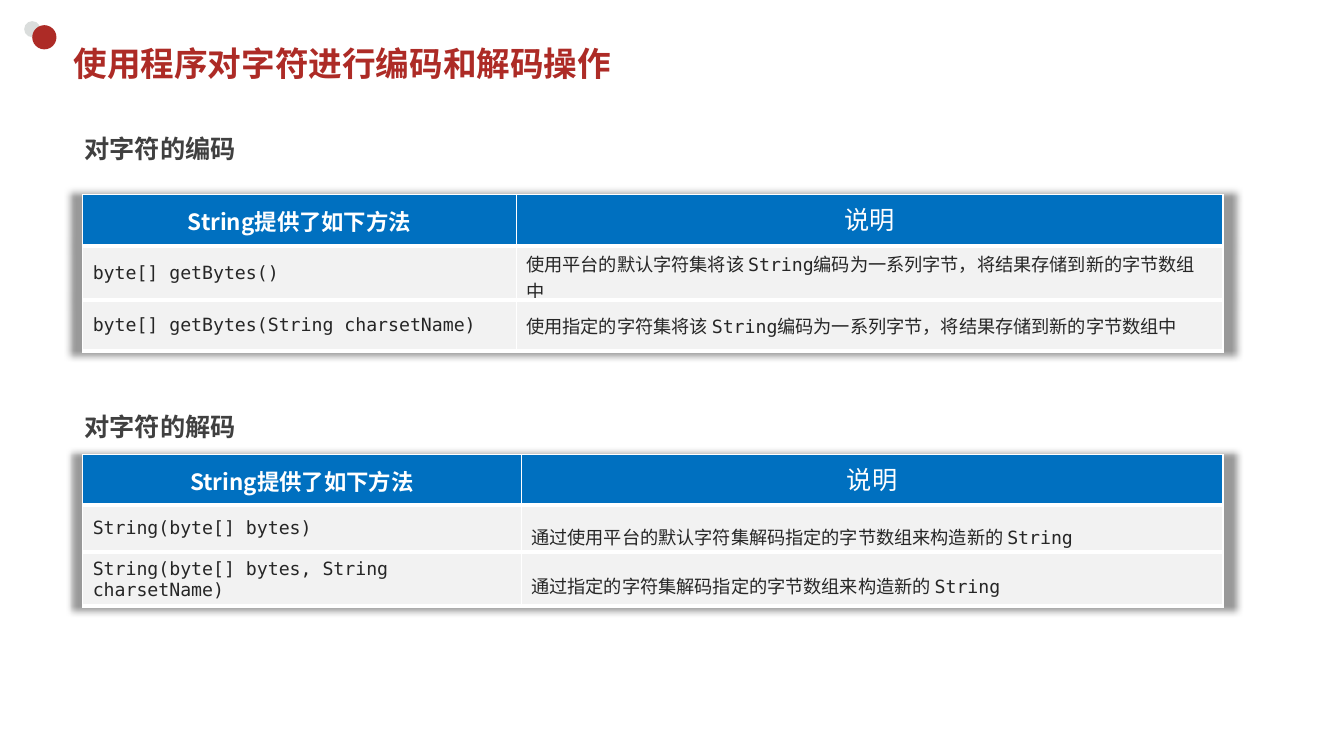
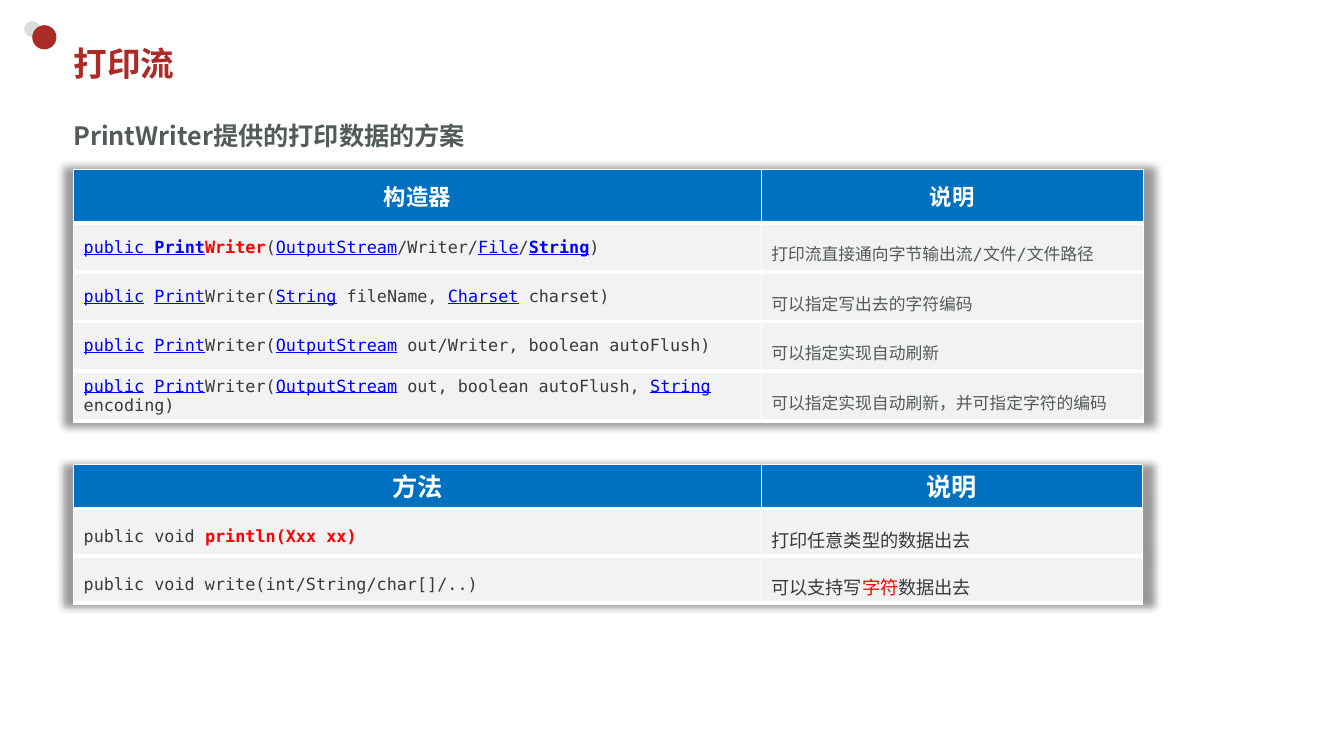
from lxml import etree
from pptx import Presentation
from pptx.dml.color import RGBColor as RGB
from pptx.enum.shapes import MSO_SHAPE as Shape
from pptx.enum.text import MSO_ANCHOR as Anchor, MSO_AUTO_SIZE as Fit, PP_ALIGN as Align
from pptx.oxml import parse_xml
from pptx.oxml.ns import nsdecls, qn
from pptx.util import Inches, Pt

RED = RGB(0xAD, 0x2B, 0x26)
PALE = RGB(0xDA, 0xDD, 0xDC)
NAVY = RGB(0x00, 0x70, 0xC0)
LIGHT = RGB(0xF2, 0xF2, 0xF2)
WHITE = RGB(0xFF, 0xFF, 0xFF)
INK = RGB(0x26, 0x26, 0x26)
DARK = RGB(0x40, 0x40, 0x40)
SLATE = RGB(0x36, 0x3C, 0x3B)
GREY = RGB(0x52, 0x5B, 0x5A)
BLUE = RGB(0x00, 0x00, 0xFF)
HOT = RGB(0xFF, 0x00, 0x00)
MONO, SANS, ARIAL = "DejaVu Sans Mono", "Noto Sans CJK JP", "Arial"


def write(frame, text, align=Align.LEFT, space=None, **base):
    """Fill a frame with a string, or with strings and (string, format) runs."""
    frame.word_wrap = True
    para = frame.paragraphs[0]
    para.alignment = align
    if space:
        para.line_spacing = space
    for part in [text] if isinstance(text, str) else text:
        words, extra = (part, {}) if isinstance(part, str) else part
        look = {"bold": False, "line": False, **base, **extra}
        run = para.add_run()
        run.text = words
        font = run.font
        font.size, font.name = Pt(look["size"]), look["face"]
        font.bold, font.underline = look["bold"], look["line"]
        font.color.rgb = look["color"]
        east = etree.SubElement(font._element, qn("a:ea"))
        east.set("typeface", SANS)


def grid(slide, left, top, widths, heights, heads, looks, rows):
    """Add a shadowed table: one header row, then rows with a format per column."""
    frame = slide.shapes.add_table(
        len(heights), len(widths), Inches(left), Inches(top),
        Inches(sum(widths)), Inches(sum(heights)))
    table = frame.table
    table.first_row = table.horz_banding = False
    table._tbl.tblPr.insert(0, parse_xml(
        f'<a:effectLst {nsdecls("a")}><a:outerShdw blurRad="63500" sx="102000" '
        'sy="102000" algn="ctr" rotWithShape="0"><a:prstClr val="black">'
        '<a:alpha val="40000"/></a:prstClr></a:outerShdw></a:effectLst>'))
    for col, width in zip(table.columns, widths):
        col.width = Inches(width)
    for row, height in zip(table.rows, heights):
        row.height = Inches(height)
    for r, texts in enumerate([[text for text, _ in heads]] + rows):
        for c, text in enumerate(texts):
            cell = table.cell(r, c)
            cell.vertical_anchor = Anchor.MIDDLE
            cell.fill.solid()
            cell.fill.fore_color.rgb = LIGHT if r else NAVY
            write(cell.text_frame, text, **(looks[c] if r else heads[c][1]))
            edges = {"L": 1, "R": 1, "T": 3 if r else 1, "B": 3}
            for spot, (side, points) in enumerate(edges.items()):
                cell._tc.tcPr.insert(spot, parse_xml(
                    f'<a:ln{side} {nsdecls("a")} w="{Pt(points)}"><a:solidFill>'
                    f'<a:srgbClr val="{WHITE}"/></a:solidFill></a:ln{side}>'))


# Formats
TITLE = dict(size=24, face=MONO, color=RED, bold=True)
HEAD = dict(size=16, face=SANS, color=WHITE, bold=True, align=Align.CENTER)
TALL = HEAD | dict(space=Pt(24))
BIG = TALL | dict(size=18)
PLAIN = BIG | dict(bold=False)
ARIAL_HEAD = HEAD | dict(face=ARIAL)
ARIAL_BIG = BIG | dict(face=ARIAL)
SUB = dict(size=18, face=SANS, color=DARK, bold=True, space=1.5)
CODE = dict(size=13, face=MONO, color=INK)
WIDE = CODE | dict(space=1.5)
SMALL = dict(size=12, face=MONO, color=SLATE)
NOTE = SMALL | dict(color=GREY, space=1.5)
CALL = SMALL | dict(space=1.5)
HINT = dict(size=13, face=SANS, color=SLATE, space=1.5)
LINK = dict(color=BLUE, line=True)
BOLD = LINK | dict(bold=True)
ALERT = dict(color=HOT, bold=True)

# Table contents
encode = [
    ["byte[] getBytes()",
     "使用平台的默认字符集将该 String编码为一系列字节，将结果存储到新的字节数组中"],
    ["byte[] getBytes(String charsetName)",
     "使用指定的字符集将该 String编码为一系列字节，将结果存储到新的字节数组中"],
]
decode = [
    ["String(byte[] bytes)", "通过使用平台的默认字符集解码指定的字节数组来构造新的 String"],
    ["String(byte[] bytes, String charsetName)",
     "通过指定的字符集解码指定的字节数组来构造新的 String"],
]
start = [("public", LINK), " ", ("Print", LINK), "Writer("]
stream = ("OutputStream", LINK)
string = ("String", LINK)
makers = [
    [[("public ", LINK), ("Print", BOLD), ("Writer", ALERT), "(", stream, "/Writer/",
      ("File", LINK), "/", ("String", BOLD), ")"],
     "打印流直接通向字节输出流/文件/文件路径"],
    [start + [string, " fileName, ", ("Charset", LINK), " charset)"],
     "可以指定写出去的字符编码"],
    [start + [stream, " out/Writer, boolean autoFlush)"], "可以指定实现自动刷新"],
    [start + [stream, " out, boolean autoFlush, ", string, " encoding)"],
     "可以指定实现自动刷新，并可指定字符的编码"],
]
calls = [
    [["public void ", ("println(Xxx xx)", ALERT)], "打印任意类型的数据出去"],
    ["public void write(int/String/char[]/..)",
     ["可以支持写", ("字符", dict(color=HOT)), "数据出去"]],
]

# Slides: title, subheads (left, top, width, text, colour), tables
offer = "String提供了如下方法"
pages = [
    ("使用程序对字符进行编码和解码操作",
     [(0.74, 1.12, 10.35, "对字符的编码", DARK), (0.74, 3.88, 3.4, "对字符的解码", DARK)],
     [(0.82, 1.93, [4.3, 7.01], [0.51] * 3,
       [(offer, TALL), ("说明", PLAIN)], [CODE, CODE], encode),
      (0.82, 4.51, [4.35, 6.96], [0.5, 0.47, 0.42],
       [(offer, TALL), ("说明", PLAIN | dict(face=ARIAL))], [CODE, WIDE], decode)]),
    ("打印流",
     [(0.63, 0.99, 6.67, "PrintWriter提供的打印数据的方案", GREY)],
     [(0.73, 1.68, [6.82, 3.79], [0.53] + [0.49] * 4,
       [("构造器", ARIAL_HEAD), ("说明", ARIAL_HEAD)], [SMALL, NOTE], makers),
      (0.73, 4.61, [6.82, 3.78], [0.42, 0.47, 0.47],
       [("方法", ARIAL_BIG), ("说明", ARIAL_BIG)], [CALL, HINT], calls)]),
]

deck = Presentation()
deck.slide_width, deck.slide_height = Inches(13.33), Inches(7.5)
for title, subs, tables in pages:
    slide = deck.slides.add_slide(deck.slide_layouts[6])

    # Corner dots
    for left, top, size, color in [(0.24, 0.21, 0.16, PALE), (0.32, 0.25, 0.24, RED)]:
        dot = slide.shapes.add_shape(
            Shape.OVAL, Inches(left), Inches(top), Inches(size), Inches(size))
        dot.shadow.inherit = False
        dot.fill.solid()
        dot.fill.fore_color.rgb = color
        dot.line.fill.background()

    # Title
    box = slide.shapes.add_textbox(Inches(0.63), Inches(0.37), Inches(11.75), Inches(0.52))
    box.text_frame.vertical_anchor = Anchor.MIDDLE
    write(box.text_frame, title, **TITLE)

    # Subheads
    for left, top, width, text, color in subs:
        box = slide.shapes.add_textbox(
            Inches(left), Inches(top), Inches(width), Inches(0.51))
        box.text_frame.auto_size = Fit.SHAPE_TO_FIT_TEXT
        write(box.text_frame, text, **SUB | dict(color=color))

    # Tables
    for table in tables:
        grid(slide, *table)

deck.save("out.pptx")
